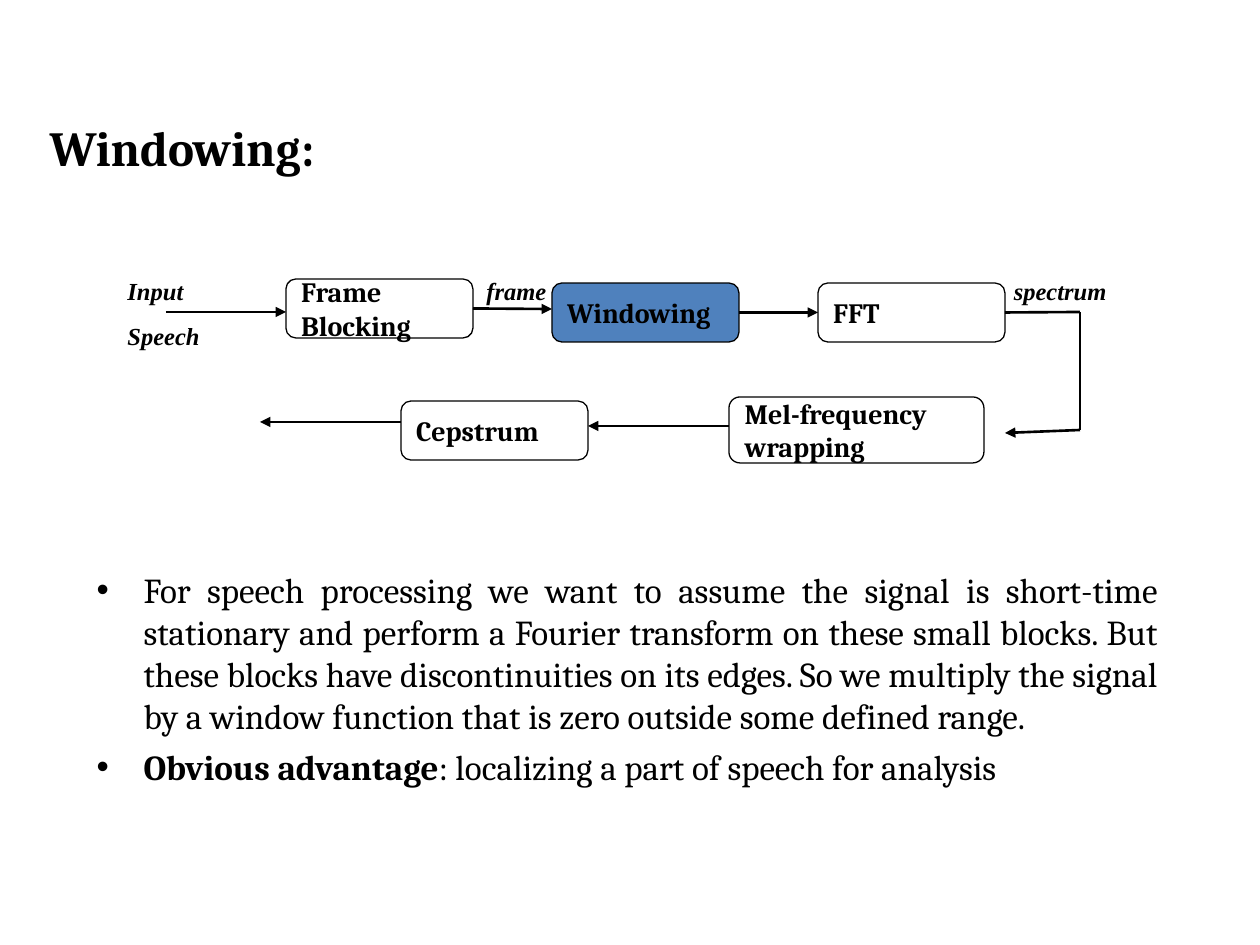
import pptx
import pptx.dml.color
import pptx.enum.shapes
import pptx.enum.text
import pptx.oxml
import pptx.oxml.ns
import pptx.util

PX = 914400 / 126
COLORS = {"ink": "000000", "highlight": "4F81BD"}
ALIGN = pptx.enum.text.PP_ALIGN
ANCHOR = pptx.enum.text.MSO_ANCHOR
RIGHT, LEFT = 3, 1

TITLE_FONT = {"name": "Cambria", "size": pptx.util.Pt(28), "bold": True}
BLOCK_FONT = {"name": "Cambria", "size": pptx.util.Pt(16), "bold": True}
LABEL_FONT = {"name": "Times New Roman", "size": pptx.util.Pt(14),
              "bold": True, "italic": True}
BODY_FONT = {"name": "Cambria", "size": pptx.util.Pt(20)}

BLOCK_WIDTH, BLOCK_HEIGHT = 187, 59
# Name: text lines, box inside the diagram
BLOCKS = {
    "frame": (["Frame", "Blocking"], (171, 9, BLOCK_WIDTH, BLOCK_HEIGHT)),
    "window": (["Windowing"], (437, 13, BLOCK_WIDTH, BLOCK_HEIGHT)),
    "fft": (["FFT"], (703, 13, BLOCK_WIDTH, BLOCK_HEIGHT)),
    "cepstrum": (["Cepstrum"], (286, 131, BLOCK_WIDTH, BLOCK_HEIGHT)),
    "mel": (["Mel-frequency", "wrapping"], (614, 127, 255, 66)),
}
# Start, end, arrowhead, block joined at start, block joined at end
FLOWS = [
    ((51, 42), (171, 42), True, None, None),
    ((358, 39), (437, 39), True, "frame", None),
    ((624, 42), (703, 42), True, "window", "fft"),
    ((890, 42), (965, 42), False, "fft", None),
    ((965, 42), (965, 160), False, None, None),
    ((965, 160), (890, 163), True, None, None),
    ((614, 156), (473, 156), True, None, None),
    ((286, 152), (145, 152), True, None, None),
]
LABELS = [
    (["Input", "Speech"], (0, 0, 181, 87), ALIGN.LEFT),
    (["frame"], (359, 0, 156, 43), ALIGN.LEFT),
    (["spectrum"], (870, 0, 134, 43), ALIGN.RIGHT),
]
BULLETS = [
    [("For speech processing we want to assume the signal is short-time "
      "stationary and perform a Fourier transform on these small blocks. "
      "But these blocks have discontinuities on its edges. So we multiply "
      "the signal by a window function that is zero outside some defined "
      "range.", False)],
    [("Obvious advantage", True),
     (": localizing a part of speech for analysis", False)],
]


def emu(*lengths):
    return [round(length * PX) for length in lengths]


def color(name):
    return pptx.dml.color.RGBColor.from_string(COLORS[name])


def set_font(font, values):
    for name, value in values.items():
        setattr(font, name, value)
    font.color.rgb = color("ink")


def place(shape, box):
    for name, value in zip(("left", "top", "width", "height"), emu(*box)):
        setattr(shape, name, value)


def set_frame(frame, anchor):
    frame.word_wrap = True
    frame.auto_size = pptx.enum.text.MSO_AUTO_SIZE.NONE
    frame.vertical_anchor = anchor


def write_lines(frame, lines, font, align, gap=0):
    """Write one paragraph a line, with gap points between them."""
    for index, line in enumerate(lines):
        paragraph = frame.paragraphs[0] if index == 0 else frame.add_paragraph()
        paragraph.alignment = align
        if index:
            paragraph.space_before = pptx.util.Pt(gap)
        run = paragraph.add_run()
        run.text = line
        set_font(run.font, font)


def add_title(slide, box):
    title = slide.shapes.title
    place(title, box)
    set_frame(title.text_frame, ANCHOR.TOP)
    write_lines(title.text_frame, ["Windowing:"], TITLE_FONT, ALIGN.LEFT)


def add_block(slide, lines, box, highlighted):
    block = slide.shapes.add_shape(
        pptx.enum.shapes.MSO_SHAPE.ROUNDED_RECTANGLE, *emu(*box))
    block.shadow.inherit = False
    if highlighted:
        block.fill.solid()
        block.fill.fore_color.rgb = color("highlight")
    else:
        block.fill.background()
    block.line.color.rgb = color("ink")
    block.line.width = pptx.util.Pt(0.75)
    set_frame(block.text_frame, ANCHOR.MIDDLE)
    write_lines(block.text_frame, lines, BLOCK_FONT, ALIGN.LEFT)
    return block


def add_flow(slide, start, end, arrowhead):
    connector = slide.shapes.add_connector(
        pptx.enum.shapes.MSO_CONNECTOR.STRAIGHT, *emu(*start, *end))
    connector.line.color.rgb = color("ink")
    connector.line.width = pptx.util.Pt(1.5)
    if arrowhead:
        connector.line._get_or_add_ln().append(pptx.oxml.parse_xml(
            f'<a:tailEnd {pptx.oxml.ns.nsdecls("a")} type="triangle"/>'))
    connector._element.spPr.append(pptx.oxml.parse_xml(
        f'<a:effectLst {pptx.oxml.ns.nsdecls("a")}/>'))
    return connector


def add_diagram(slide, box):
    left, top = box[:2]

    def shift(x, y, *size):
        return (left + x, top + y, *size)

    blocks = {name: add_block(slide, lines, shift(*area), name == "window")
              for name, (lines, area) in BLOCKS.items()}
    for start, end, arrowhead, source, target in FLOWS:
        connector = add_flow(slide, shift(*start), shift(*end), arrowhead)
        if source:
            connector.begin_connect(blocks[source], RIGHT)
        if target:
            connector.end_connect(blocks[target], LEFT)
    for lines, area, align in LABELS:
        label = slide.shapes.add_textbox(*emu(*shift(*area)))
        set_frame(label.text_frame, ANCHOR.TOP)
        write_lines(label.text_frame, lines, LABEL_FONT, align, 8.8)


def add_body(slide, box):
    body = slide.placeholders[1]
    place(body, box)
    frame = body.text_frame
    set_frame(frame, ANCHOR.TOP)
    indent = emu(47)[0]
    for index, runs in enumerate(BULLETS):
        paragraph = frame.paragraphs[0] if index == 0 else frame.add_paragraph()
        properties = paragraph._p.get_or_add_pPr()
        properties.set("marL", str(indent))
        properties.set("indent", str(-indent))
        properties.append(pptx.oxml.parse_xml(
            f'<a:buChar {pptx.oxml.ns.nsdecls("a")} char="•"/>'))
        paragraph.alignment = ALIGN.JUSTIFY
        paragraph.space_before = pptx.util.Pt(5 if index else 0)
        for text, bold in runs:
            run = paragraph.add_run()
            run.text = text
            set_font(run.font, {**BODY_FONT, "bold": bold})


def main():
    presentation = pptx.Presentation()
    presentation.slide_width, presentation.slide_height = emu(1260, 945)
    slide = presentation.slides.add_slide(presentation.slide_layouts[1])
    add_title(slide, (37, 111, 1103, 116))
    add_diagram(slide, (115, 270, 1004, 193))
    add_body(slide, (84, 562, 1087, 305))
    presentation.save("out.pptx")


if __name__ == "__main__":
    main()
